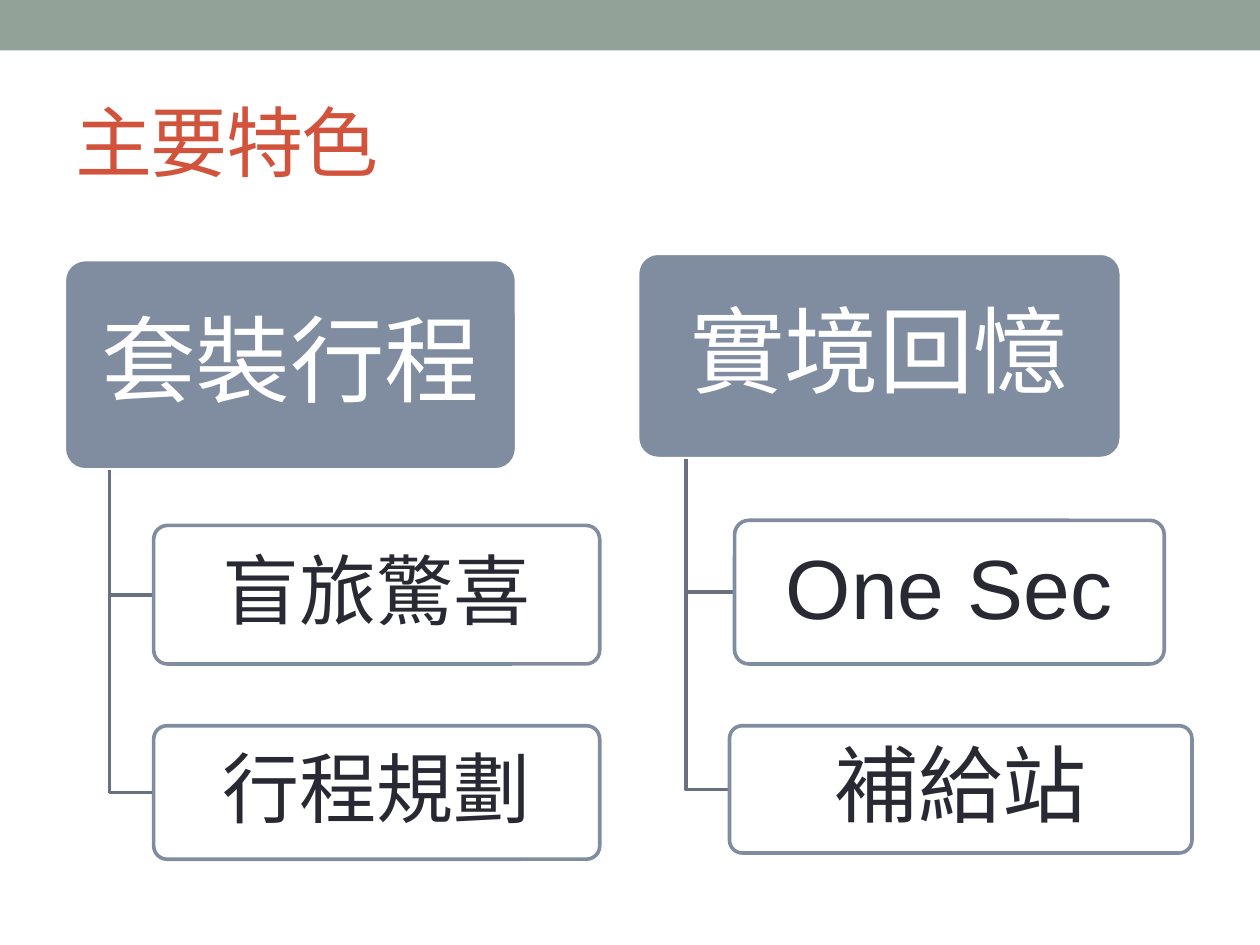
import pptx
import pptx.util
import pptx.dml.color
import pptx.enum.shapes
import pptx.enum.text
import pptx.oxml
import pptx.oxml.ns

Inches, Pt = pptx.util.Inches, pptx.util.Pt
RGBColor = pptx.dml.color.RGBColor
SHAPE = pptx.enum.shapes.MSO_SHAPE
ALIGN = pptx.enum.text.PP_ALIGN
ANCHOR = pptx.enum.text.MSO_ANCHOR

WHITE = RGBColor(0xFF, 0xFF, 0xFF)
SAGE = RGBColor(0x93, 0xA2, 0x99)
RED = RGBColor(0xD2, 0x53, 0x3C)
SLATE = RGBColor(0x80, 0x8D, 0xA0)
DARK_SLATE = RGBColor(0x67, 0x71, 0x80)
INK = RGBColor(0x29, 0x29, 0x34)
CJK, LATIN = "Noto Sans CJK SC", "Arial"
LINE_WIDTH = 2.08

TITLE = "主要特色"
BRANCHES = [
    {"head": ("套裝行程", (0.51, 2.06, 3.59, 1.67)), "size": 44,
     "items": [("盲旅驚喜", (1.22, 4.17, 3.54, 1.1)),
               ("行程規劃", (1.22, 5.76, 3.54, 1.06))]},
    {"head": ("實境回憶", (5.06, 2.01, 3.84, 1.63)), "size": 48,
     "items": [("One Sec", (5.83, 4.13, 3.41, 1.14)),
               ("補給站", (5.79, 5.76, 3.67, 1.01))]},
]
HEAD = {"fill": SLATE, "line": WHITE, "font": CJK, "color": WHITE,
        "inset": (0.16, 0.12)}
ITEM = {"fill": WHITE, "line": SLATE, "font": LATIN, "color": INK,
        "inset": (0.13, 0.1), "alpha": 90}


def write(tf, text, size, font, color, align):
    p = tf.paragraphs[0]
    p.alignment = align
    r = p.add_run()
    r.text = text
    for name, value in {"size": Pt(size), "name": font}.items():
        setattr(r.font, name, value)
    r.font.color.rgb = color
    ea = pptx.oxml.parse_xml(
        f'<a:ea {pptx.oxml.ns.nsdecls("a")} typeface="{font}"/>')
    r.font._element.find(pptx.oxml.ns.qn("a:latin")).addnext(ea)
    return p, r


def add_box(slide, text, at, size, style):
    sp = slide.shapes.add_shape(SHAPE.ROUNDED_RECTANGLE, *map(Inches, at))
    sp.shadow.inherit = False
    sp.adjustments[0] = 0.1
    sp.fill.solid()
    sp.fill.fore_color.rgb = style["fill"]
    if "alpha" in style:
        clr = sp.fill._xPr.find(".//" + pptx.oxml.ns.qn("a:srgbClr"))
        clr.append(pptx.oxml.parse_xml(
            f'<a:alpha {pptx.oxml.ns.nsdecls("a")} val="{style["alpha"] * 1000}"/>'))
    sp.line.color.rgb = style["line"]
    sp.line.width = Pt(LINE_WIDTH)
    dx, dy = map(Inches, style["inset"])
    tf = sp.text_frame
    frame = {"margin_left": dx, "margin_right": dx, "margin_top": dy,
             "margin_bottom": dy, "word_wrap": True,
             "vertical_anchor": ANCHOR.MIDDLE}
    for name, value in frame.items():
        setattr(tf, name, value)
    p, r = write(tf, text, size, style["font"], style["color"], ALIGN.CENTER)
    p.line_spacing = 0.9


def add_elbow(slide, head, item):
    x, y, w, h = head
    left, top, width, height = item
    trunk, start, end = x + w / 10, y + h, top + height / 2
    fb = slide.shapes.build_freeform(Inches(trunk), Inches(start))
    fb.add_line_segments([(Inches(trunk), Inches(end)),
                          (Inches(left), Inches(end))], close=False)
    sp = fb.convert_to_shape()
    sp.shadow.inherit = False
    sp.fill.background()
    sp.line.color.rgb = DARK_SLATE
    sp.line.width = Pt(LINE_WIDTH)


def main():
    prs = pptx.Presentation()
    prs.slide_width, prs.slide_height = Inches(10), Inches(7.5)
    slide = prs.slides.add_slide(prs.slide_layouts[5])

    band = slide.shapes.add_shape(SHAPE.RECTANGLE, 0, 0, prs.slide_width, Inches(0.4))
    band.shadow.inherit = False
    band.fill.solid()
    band.fill.fore_color.rgb = SAGE
    band.line.fill.background()

    title = slide.shapes.title
    place = {"left": 0.5, "top": 0.58, "width": 9, "height": 1.08}
    for name, value in place.items():
        setattr(title, name, Inches(value))
    title.text_frame.vertical_anchor = ANCHOR.MIDDLE
    p, r = write(title.text_frame, TITLE, 44, CJK, RED, ALIGN.LEFT)
    r.font._element.set("spc", "-100")

    for branch in BRANCHES:
        text, head = branch["head"]
        add_box(slide, text, head, 54, HEAD)
        for text, at in branch["items"]:
            add_elbow(slide, head, at)
            add_box(slide, text, at, branch["size"], ITEM)

    prs.save("out.pptx")


if __name__ == "__main__":
    main()
